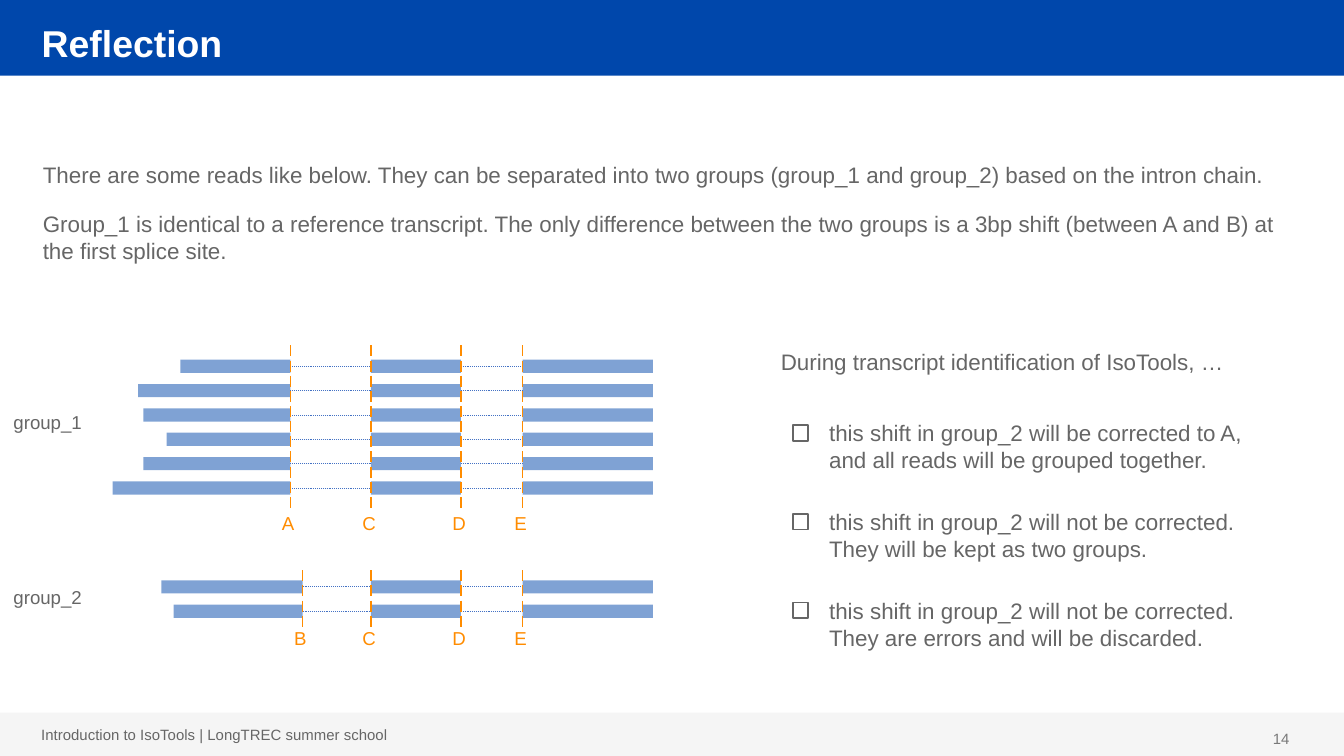
import pptx
import pptx.util
import pptx.dml.color
import pptx.enum.dml
import pptx.enum.shapes
import pptx.enum.text
import lxml.etree
from pptx.oxml.ns import qn

Cm = pptx.util.Cm
Pt = pptx.util.Pt
RGB = pptx.dml.color.RGBColor
DASH = pptx.enum.dml.MSO_LINE
ALIGN = pptx.enum.text.PP_ALIGN
ANCHOR = pptx.enum.text.MSO_ANCHOR

BLUE = RGB(0x00, 0x47, 0xAB)
THIN = RGB(0x44, 0x72, 0xC4)
ORANGE = RGB(0xFF, 0x8C, 0x00)
GREY = RGB(0x66, 0x66, 0x66)
PALE = RGB(0x79, 0x79, 0x79)
SMOKE = RGB(0xF5, 0xF5, 0xF5)
WHITE = RGB(0xFF, 0xFF, 0xFF)

SITES = {"A": 5.49, "B": 5.72, "C": 7.01, "D": 8.71, "E": 9.88}
END = 12.34
PITCH = 0.46
THICK = 0.25


def add_rect(shapes, x, y, w, h, fill=None, alpha=None, line=None):
    rect = shapes.add_shape(
        pptx.enum.shapes.MSO_SHAPE.RECTANGLE, Cm(x), Cm(y), Cm(w), Cm(h))
    rect.shadow.inherit = False
    if fill is None:
        rect.fill.background()
    else:
        rect.fill.solid()
        rect.fill.fore_color.rgb = fill
    if alpha:
        color = rect.fill._xPr.find(".//" + qn("a:srgbClr"))
        lxml.etree.SubElement(color, qn("a:alpha")).set("val", str(alpha * 1000))
    if line is None:
        rect.line.fill.background()
    else:
        rect.line.color.rgb = line
        rect.line.width = Pt(1)


def add_line(shapes, x1, y1, x2, y2, color, width, dash):
    line = shapes.add_connector(
        pptx.enum.shapes.MSO_CONNECTOR.STRAIGHT, Cm(x1), Cm(y1), Cm(x2), Cm(y2))
    line.line.color.rgb = color
    line.line.width = Pt(width)
    line.line.dash_style = dash
    lxml.etree.SubElement(line._element.spPr, qn("a:effectLst"))


def add_text(shapes, x, y, w, h, lines, size, color=GREY, bold=False,
             align=ALIGN.LEFT, anchor=ANCHOR.TOP, wrap=True, inset=True):
    frame = shapes.add_textbox(Cm(x), Cm(y), Cm(w), Cm(h)).text_frame
    frame.word_wrap = wrap
    frame.vertical_anchor = anchor
    if not inset:
        frame.margin_left = frame.margin_right = 0
        frame.margin_top = frame.margin_bottom = 0
    frame.text = "\n".join(lines)
    for para in frame.paragraphs:
        para.alignment = align
        para.font.name = "Arial"
        para.font.size = Pt(size)
        para.font.bold = bold
        para.font.color.rgb = color
    return frame


def add_reads(slide, sites, starts, top, span, label):
    shapes = slide.shapes.add_group_shape().shapes
    first, left, right, last = [SITES[site] for site in sites]
    for row, start in enumerate(starts):
        y = top + row * PITCH
        for x1, x2 in ((start, first), (left, right), (last, END)):
            add_rect(shapes, x1, y, x2 - x1, THICK, BLUE, alpha=50)
        mid = y + THICK / 2
        for x1, x2 in ((first, left), (right, last)):
            add_line(shapes, x1, mid, x2, mid, THIN, 0.5, DASH.ROUND_DOT)
    for site in sites:
        x = SITES[site]
        add_line(shapes, x, span[0], x, span[1], ORANGE, 0.75, DASH.LONG_DASH)
        add_text(shapes, x - 0.41, label, 0.76, 0.68, [site], 10, ORANGE,
                 wrap=False)


def add_choice(shapes, y, text):
    add_text(shapes, 15.42, y, 8.99, 1.28, [text], 12)
    add_rect(shapes, 14.98, y + 0.23, 0.3, 0.3, line=GREY)


def main():
    deck = pptx.Presentation()
    deck.slide_width = Cm(25.4)
    deck.slide_height = Cm(14.29)
    slide = deck.slides.add_slide(deck.slide_layouts[6])
    shapes = slide.shapes

    add_rect(shapes, 0, 0, 25.4, 1.43, BLUE)
    add_rect(shapes, 0, 13.47, 25.4, 0.82, SMOKE)
    add_text(shapes, 0.78, 13.72, 6.86, 0.33,
             ["Introduction to IsoTools | LongTREC summer school"], 8,
             anchor=ANCHOR.MIDDLE, inset=False)
    add_text(shapes, 18.9, 13.59, 5.72, 0.76, ["14"], 8, PALE,
             align=ALIGN.RIGHT, anchor=ANCHOR.MIDDLE)
    add_text(shapes, 0.54, 0.34, 21.9, 0.94, ["Reflection"], 20, WHITE,
             bold=True, anchor=ANCHOR.MIDDLE)

    intro = add_text(shapes, 0.56, 2.64, 24.28, 2.49, [
        "There are some reads like below. They can be separated into two "
        "groups (group_1 and group_2) based on the intron chain.",
        "Group_1 is identical to a reference transcript. The only difference "
        "between the two groups is a 3bp shift (between A and B) at the first "
        "splice site."], 12, anchor=ANCHOR.MIDDLE)
    intro.paragraphs[0].line_spacing = 1.5
    intro.paragraphs[0].space_after = Pt(12)

    add_reads(slide, "ACDE", (3.41, 2.61, 2.71, 3.15, 2.71, 2.13),
              6.8, (6.53, 9.65), 9.55)
    add_reads(slide, "BCDE", (3.05, 3.28), 10.97, (10.78, 11.88), 11.73)
    for y, name in ((7.65, "group_1"), (10.95, "group_2")):
        add_text(shapes, 0, y, 1.8, 0.68, [name], 10, align=ALIGN.CENTER,
                 wrap=False)

    add_text(shapes, 14.5, 6.45, 8.89, 0.76,
             ["During transcript identification of IsoTools, …"], 12,
             align=ALIGN.CENTER, wrap=False)
    choices = (
        "this shift in group_2 will be corrected to A, and all reads will be "
        "grouped together.",
        "this shift in group_2 will not be corrected. They will be kept as "
        "two groups.",
        "this shift in group_2 will not be corrected. They are errors and "
        "will be discarded.")
    for row, text in enumerate(choices):
        add_choice(shapes, 7.8 + row * 1.68, text)

    deck.save("out.pptx")


if __name__ == "__main__":
    main()
